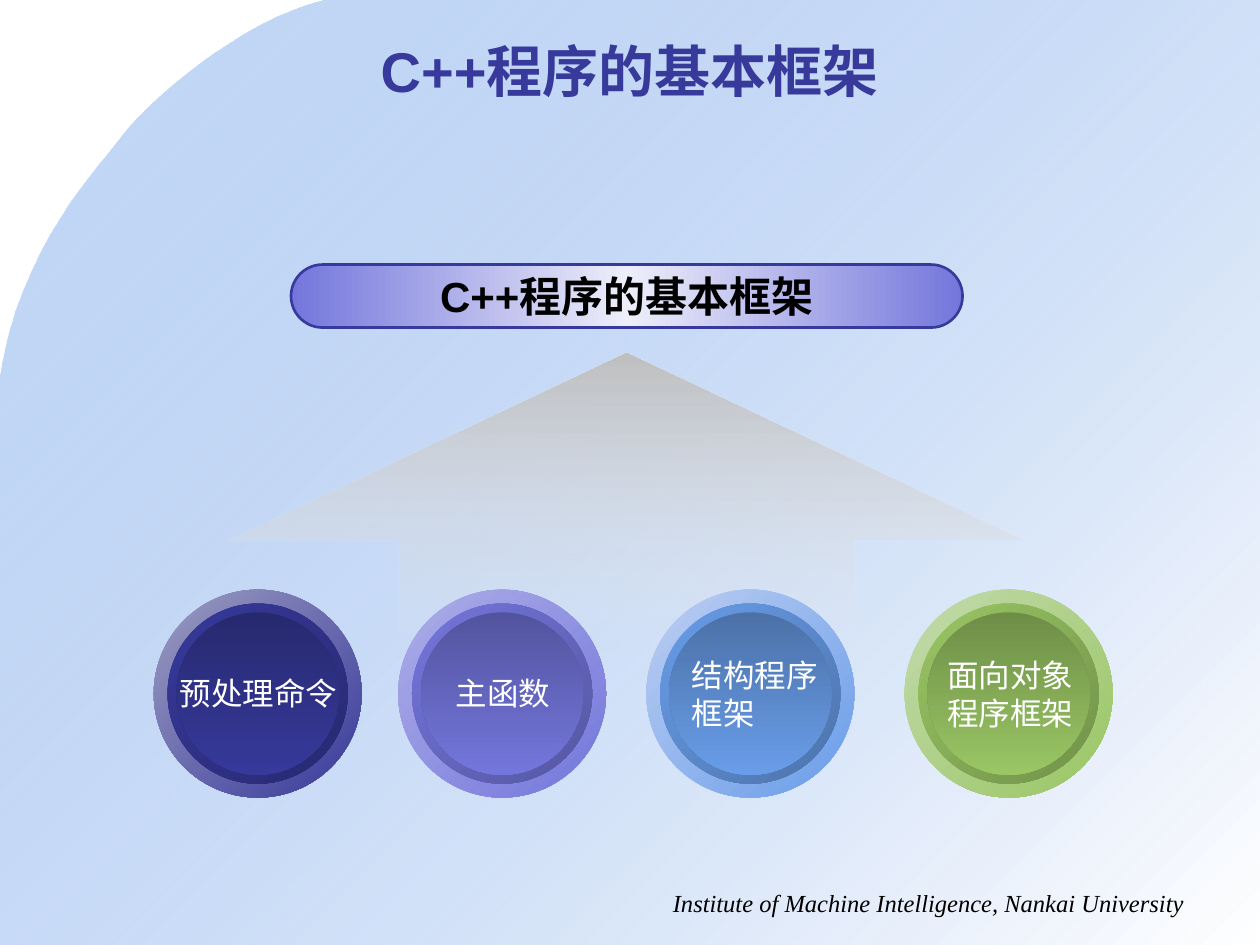
from dataclasses import dataclass

from lxml import etree
from pptx import Presentation
from pptx.dml.color import RGBColor
from pptx.enum.shapes import MSO_SHAPE
from pptx.enum.text import MSO_ANCHOR, PP_ALIGN
from pptx.oxml.ns import qn
from pptx.util import Inches, Pt

ELLIPSE, UP_ARROW, PILL = MSO_SHAPE.OVAL, MSO_SHAPE.UP_ARROW, MSO_SHAPE.ROUNDED_RECTANGLE
LEFT, CENTER, RIGHT = PP_ALIGN.LEFT, PP_ALIGN.CENTER, PP_ALIGN.RIGHT
TOP, MIDDLE = MSO_ANCHOR.TOP, MSO_ANCHOR.MIDDLE


@dataclass(frozen=True)
class Theme:
    font: str = "Arial"
    footer_font: str = "Times New Roman"
    navy: str = "37399B"
    purple: str = "7476DC"
    blue: str = "699DE9"
    green: str = "9AC664"
    lavender: str = "EDEEF9"
    silver: str = "C0C0C0"
    pale: str = "ECECEC"
    white: str = "FFFFFF"
    black: str = "000000"
    title_size: int = 32
    banner_size: int = 24
    label_size: int = 18
    footer_size: int = 14


THEME = Theme()
HEADING = "C++程序的基本框架"
BUTTON_TOP, BUTTON_SIZE = 4.68, 1.65
# Button left, colour, tint of the rim in percent, label lines, label box
BUTTONS = [
    (1.22, THEME.navy, 69, ["预处理命令"], (1.33, 5.3, 1.46, 0.4)),
    (3.16, THEME.purple, 70, ["主函数"], (3.52, 5.3, 0.96, 0.4)),
    (5.13, THEME.blue, 57, ["结构程序", "框架"], (5.39, 5.16, 1.21, 0.71)),
    (7.18, THEME.green, 67, ["面向对象", "程序框架"], (7.42, 5.16, 1.21, 0.71)),
]
BACKDROP_START = (2.58, 0)
BACKDROP_CURVES = [
    ((1.9, 0.16), (1.16, 0.83), (0.98, 1.07)),
    ((0.8, 1.32), (0.16, 1.94), (0, 3.01)),
]


def fill_gradient(shape, angle, *stops):
    """Each stop is (percent, colour, {modifier: percent}); the angle runs clockwise."""
    shape.fill.gradient()
    gradient = shape.fill._xPr.find(qn("a:gradFill"))
    for child in list(gradient):
        gradient.remove(child)
    stop_list = etree.SubElement(gradient, qn("a:gsLst"))
    for position, color, modifiers in stops:
        stop = etree.SubElement(stop_list, qn("a:gs"), pos=str(position * 1000))
        color_element = etree.SubElement(stop, qn("a:srgbClr"), val=color)
        for name, percent in modifiers.items():
            etree.SubElement(color_element, qn("a:" + name), val=str(percent * 1000))
    etree.SubElement(gradient, qn("a:lin"), ang=str(angle * 60000), scaled="0")


def add_plain_shape(shapes, kind, box):
    shape = shapes.add_shape(kind, *map(Inches, box))
    shape.shadow.inherit = False
    shape.line.fill.background()
    return shape


def write_text(shape, lines, size, color, font=THEME.font, align=LEFT,
               anchor=TOP, wrap=False, bold=False, italic=False):
    frame = shape.text_frame
    frame.word_wrap = wrap
    frame.vertical_anchor = anchor
    for index, line in enumerate(lines):
        paragraph = frame.add_paragraph() if index else frame.paragraphs[0]
        paragraph.alignment = align
        run = paragraph.add_run()
        run.text = line
        run.font.name = font
        run.font.size = Pt(size)
        run.font.bold = bold
        run.font.italic = italic
        run.font.color.rgb = RGBColor.from_string(color)


def add_text(slide, box, lines, size, color, **style):
    write_text(slide.shapes.add_textbox(*map(Inches, box)), lines, size, color, **style)


def curve_points(start, first, second, end, steps=16):
    """Points along a cubic curve, without its start."""
    for step in range(1, steps + 1):
        t = step / steps
        weights = ((1 - t) ** 3, 3 * t * (1 - t) ** 2, 3 * t * t * (1 - t), t ** 3)
        corners = (start, first, second, end)
        yield tuple(sum(w * corner[axis] for w, corner in zip(weights, corners))
                    for axis in (0, 1))


def add_backdrop(slide):
    points = [BACKDROP_START]
    for curve in BACKDROP_CURVES:
        points.extend(curve_points(points[-1], *curve))
    points += [(0, 7.5), (10, 7.5), (10, 0)]
    vertices = [(Inches(x), Inches(y)) for x, y in points]
    builder = slide.shapes.build_freeform(*vertices[0])
    builder.add_line_segments(vertices[1:], close=True)
    backdrop = builder.convert_to_shape()
    backdrop.shadow.inherit = False
    backdrop.line.fill.background()
    fill_gradient(backdrop, 45, (0, THEME.blue, {"alpha": 39}), (100, THEME.white, {}))


def add_arrow(slide):
    arrow = add_plain_shape(slide.shapes, UP_ARROW, (1.82, 2.8, 6.3, 2.36))
    arrow.adjustments[0], arrow.adjustments[1] = 0.573, 0.628
    fill_gradient(arrow, 90, (0, THEME.silver, {}), (100, THEME.pale, {"alpha": 0}))


def add_banner(slide):
    banner = add_plain_shape(slide.shapes, PILL, (2.31, 2.1, 5.33, 0.5))
    banner.adjustments[0] = 0.5
    fill_gradient(banner, 0, (0, THEME.purple, {}), (50, THEME.lavender, {}),
                  (100, THEME.purple, {}))
    banner.line.color.rgb = RGBColor.from_string(THEME.navy)
    banner.line.width = Pt(1.5)
    write_text(banner, [HEADING], THEME.banner_size, THEME.black,
               align=CENTER, anchor=MIDDLE, bold=True)


def add_button(slide, left, color, tint):
    """Three nested discs: rim, bevel and face."""
    discs = [
        (0, 45, {"tint": tint}, {}),
        (0.11, 45, {}, {"shade": 49}),
        (0.18, 90, {"shade": 47}, {}),
    ]
    group = slide.shapes.add_group_shape()
    for inset, angle, start, end in discs:
        size = BUTTON_SIZE - 2 * inset
        disc = add_plain_shape(group.shapes, ELLIPSE,
                               (left + inset, BUTTON_TOP + inset, size, size))
        fill_gradient(disc, angle, (0, color, start), (100, color, end))


def main():
    presentation = Presentation()
    presentation.slide_width, presentation.slide_height = Inches(10), Inches(7.5)
    slide = presentation.slides.add_slide(presentation.slide_layouts[6])
    add_backdrop(slide)
    add_text(slide, (4.83, 7, 4.67, 0.34),
             ["Institute of Machine Intelligence, Nankai University"],
             THEME.footer_size, THEME.black, font=THEME.footer_font,
             align=RIGHT, wrap=True, italic=True)
    add_arrow(slide)
    add_banner(slide)
    for left, color, tint, label, label_box in BUTTONS:
        add_button(slide, left, color, tint)
        add_text(slide, label_box, label, THEME.label_size, THEME.white)
    add_text(slide, (0.5, 0.25, 9, 0.62), [HEADING], THEME.title_size, THEME.navy,
             align=CENTER, anchor=MIDDLE, wrap=True, bold=True)
    presentation.save("out.pptx")


if __name__ == "__main__":
    main()
